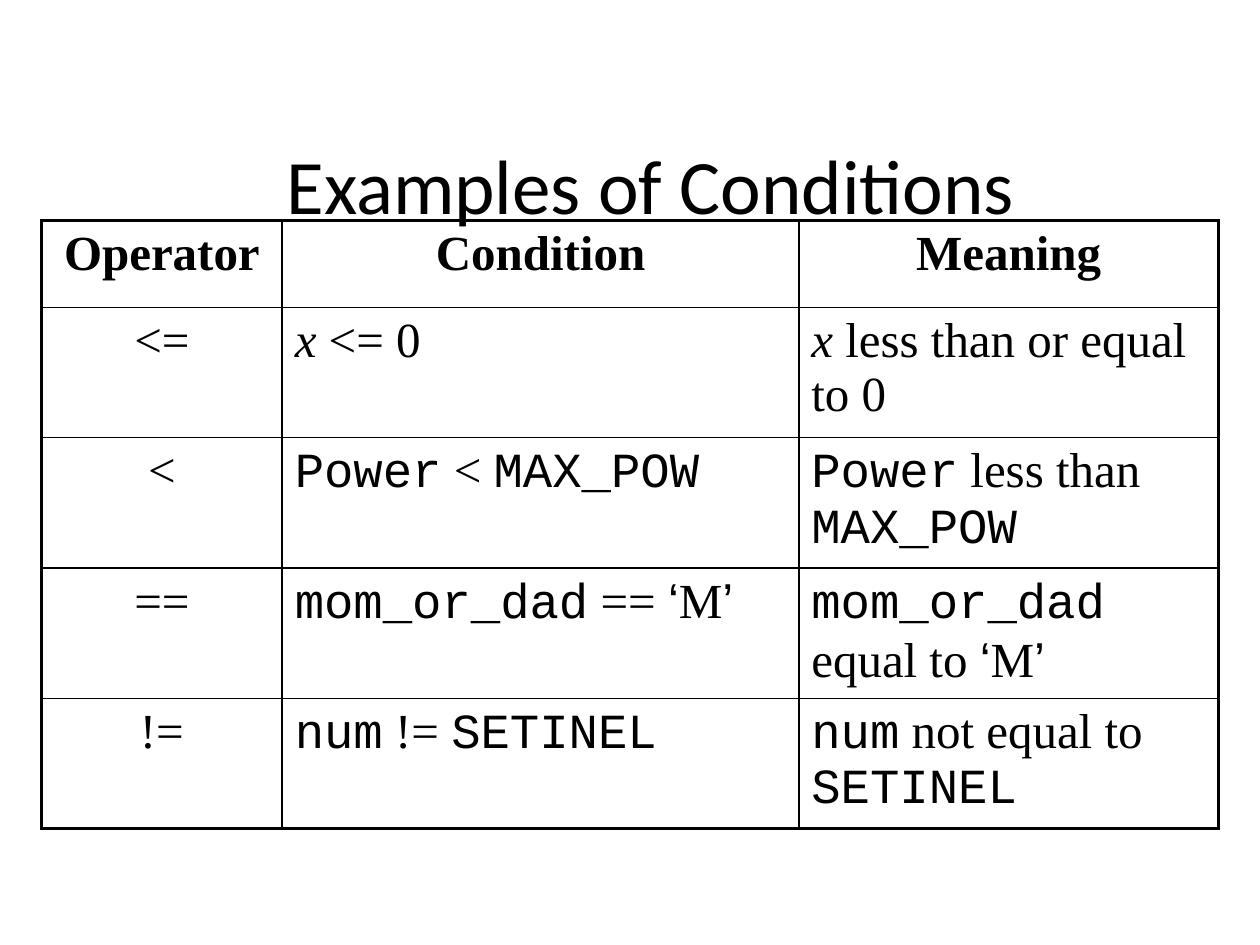
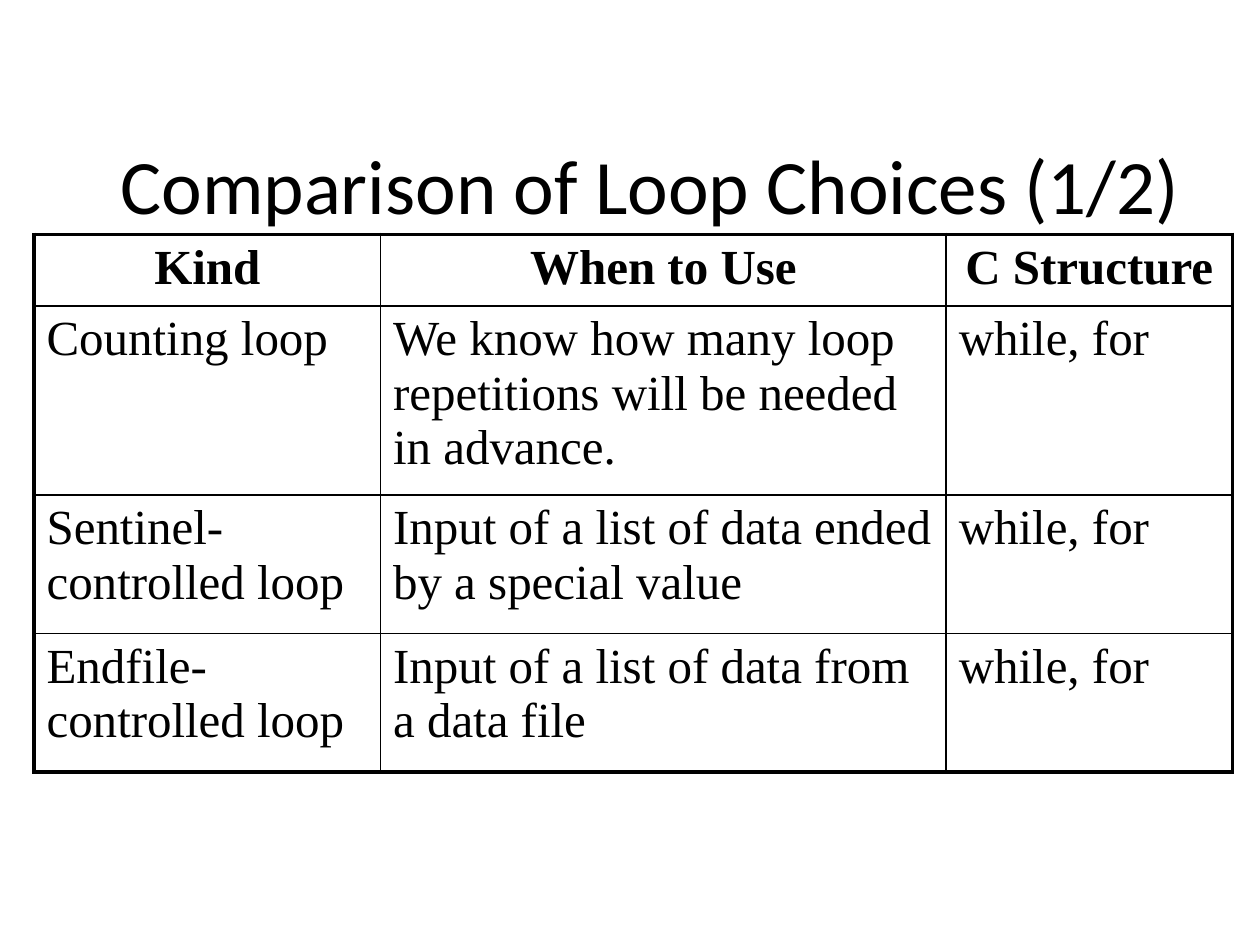
from lxml import etree
from pptx import Presentation
from pptx import util as u
from pptx.dml.color import RGBColor
from pptx.enum import text
from pptx.oxml.ns import qn

INCH = 2.54
INK = "000000"
HEADING, BODY, CODE, QUOTE = "Calibri", "Times New Roman", "Courier New", "Arial"


def size(inches):
    """Turn inches into a length given in centimetres."""
    return u.Cm(inches * INCH)


def colour(value):
    """Turn a hex string into a colour."""
    return RGBColor.from_string(value)


def code(words):
    """Return a span in the code font."""
    return words, {"name": CODE}


def italic(words):
    """Return a span in italics."""
    return words, {"italic": True}


def quoted(words):
    """Return the spans of a word in single quotes."""
    return [("\u2018", {"name": QUOTE}), words, ("\u2019", {"name": QUOTE})]


class Slides:
    """Hold the shared style and the current slide."""

    title_at = (0.83, 0.83, 8.67, 1.25)
    title_format = {"name": HEADING, "size": u.Pt(44)}
    cell_format = {"name": BODY, "size": u.Pt(28), "bold": False, "italic": False}
    outer, inner = 2.25, 1

    def __init__(self):
        """Start an empty deck of 10 by 7.5 inches."""
        self.deck = Presentation()
        self.deck.slide_width, self.deck.slide_height = size(10), size(7.5)
        self.page = None

    def add_page(self, title):
        """Add a slide with its title."""
        self.page = self.deck.slides.add_slide(self.deck.slide_layouts[6])
        box = self.page.shapes.add_textbox(*map(size, self.title_at))
        frame = box.text_frame
        frame.word_wrap = True
        frame.vertical_anchor = text.MSO_ANCHOR.MIDDLE
        self.add_spans(frame.paragraphs[0], [title], self.title_format, centred=True)

    def add_spans(self, para, spans, base, centred=False):
        """Fill a paragraph with plain or formatted spans."""
        para.alignment = text.PP_ALIGN.CENTER if centred else text.PP_ALIGN.LEFT
        for span in spans:
            words, changes = (span, {}) if isinstance(span, str) else span
            run = para.add_run()
            run.text = words
            for name, value in {**base, **changes}.items():
                setattr(run.font, name, value)
            run.font.color.rgb = colour(INK)

    def space_before(self, para, percent):
        """Set the space before a paragraph as a share of its line."""
        properties = para._p.get_or_add_pPr()
        space = etree.SubElement(properties, qn("a:spcBef"))
        etree.SubElement(space, qn("a:spcPct"), val=str(percent * 1000))

    def border(self, cell, edges):
        """Draw the four borders, thicker on the edges of the table."""
        properties = cell._tc.get_or_add_tcPr()
        for index, (side, is_outer) in enumerate(edges.items()):
            width = u.Pt(self.outer if is_outer else self.inner)
            line = etree.Element(qn("a:ln" + side), w=str(int(width)))
            fill = etree.SubElement(line, qn("a:solidFill"))
            etree.SubElement(fill, qn("a:srgbClr"), val=INK)
            properties.insert(index, line)

    def add_table(self, at, widths, heights, rows, centred_columns=()):
        """Add a ruled table with a bold, centred header row."""
        frame = self.page.shapes.add_table(len(heights), len(widths), *map(size, at))
        table = frame.table
        table.first_row = table.horz_banding = False
        for column, width in zip(table.columns, widths):
            column.width = size(width)
        for row, height in zip(table.rows, heights):
            row.height = size(height)
        frame.height = size(at[3])
        last_row, last_column = len(heights) - 1, len(widths) - 1
        for r, row in enumerate(rows):
            for c, spans in enumerate(row):
                cell = table.cell(r, c)
                cell.fill.background()
                para = cell.text_frame.paragraphs[0]
                self.add_spans(para, [spans] if isinstance(spans, str) else spans,
                               {**self.cell_format, "bold": r == 0},
                               centred=r == 0 or c in centred_columns)
                self.space_before(para, 20)
                self.border(cell, {"L": c == 0, "R": c == last_column,
                                   "T": r == 0, "B": r == last_row})


slides = Slides()

slides.add_page("Examples of Conditions")
slides.add_table(
    (0.33, 1.75, 9.33, 4.82), (1.91, 4.1, 3.33), [0.69] * 5,
    [
        ("Operator", "Condition", "Meaning"),
        ("<=", [italic("x"), " <= 0"], [italic("x"), " less than or equal to 0"]),
        ("<", [code("Power"), " < ", code("MAX_POW")],
         [code("Power"), " less than ", code("MAX_POW")]),
        ("==", [code("mom_or_dad"), " == ", *quoted("M")],
         [code("mom_or_dad"), " equal to ", *quoted("M")]),
        ("!=", [code("num"), " != ", code("SETINEL")],
         [code("num"), " not equal to ", code("SETINEL")]),
    ],
    centred_columns=(0,))

slides.add_page("Comparison of Loop Choices (1/2)")
loops = {
    "Counting loop": "We know how many loop repetitions will be needed in advance.",
    "Sentinel-controlled loop": "Input of a list of data ended by a special value",
    "Endfile-controlled loop": "Input of a list of data from a data file",
}
slides.add_table(
    (0.27, 1.86, 9.51, 4.26), (2.75, 4.49, 2.27), (0.53, 0.86, 1.1, 1.1),
    [("Kind", "When to Use", "C Structure")]
    + [(kind, use, "while, for") for kind, use in loops.items()])

slides.deck.save("out.pptx")
